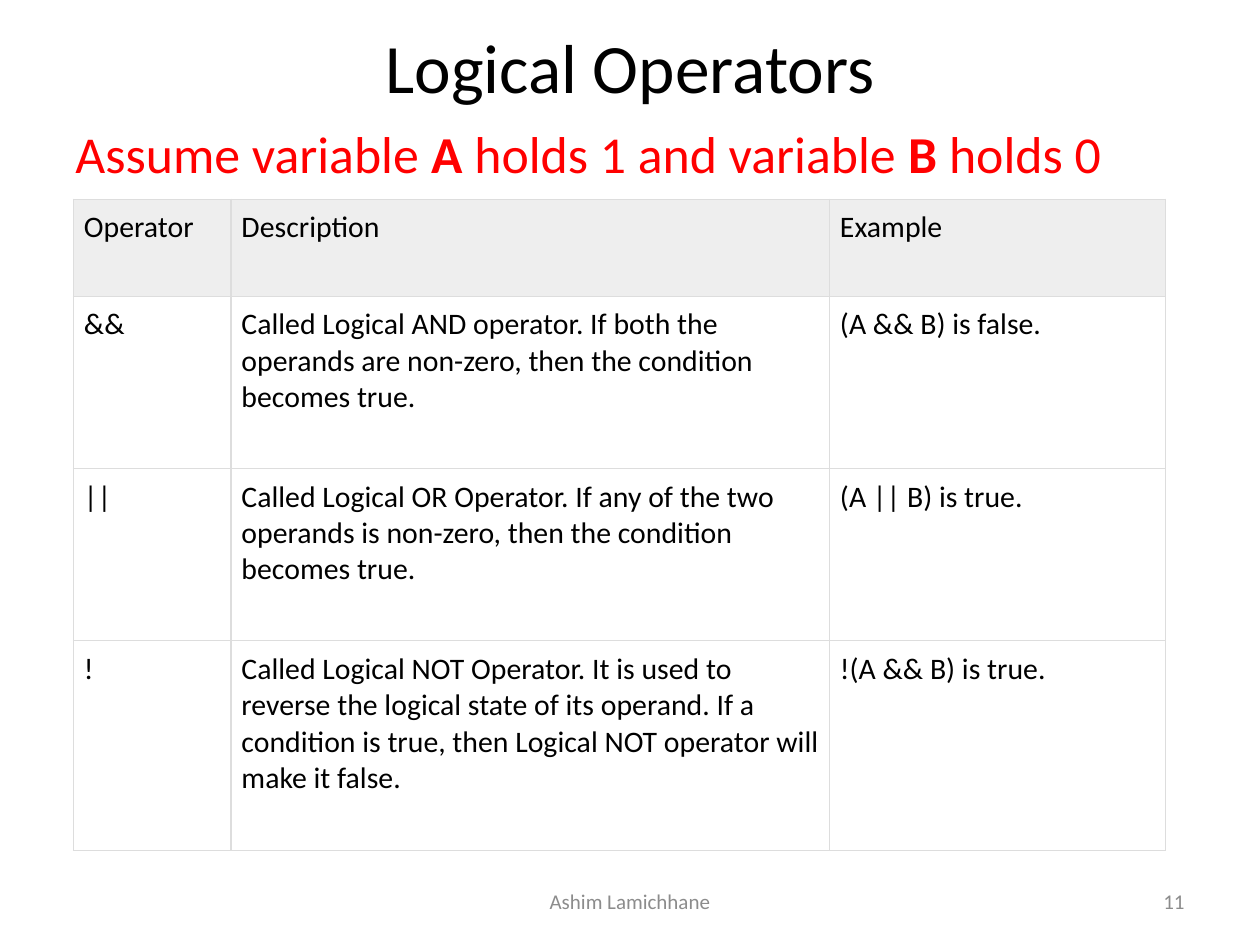
from dataclasses import dataclass

from lxml import etree
from pptx import Presentation
from pptx import util as u
from pptx.dml import color
from pptx.enum import text
from pptx.oxml import ns


@dataclass(frozen=True)
class Theme:
    font: str = "Calibri"
    ink: str = "000000"
    accent: str = "FF0000"
    muted: str = "8C8C8C"
    header: str = "EEEEEE"
    border: str = "DDDDDD"
    title_size: float = 39.6
    lead_size: float = 29.6
    table_size: float = 17
    footer_size: float = 12
    border_width: float = 0.75
    cell_inset: float = 6


class SlideBuilder:
    def __init__(self, slide, theme):
        self.slide = slide
        self.theme = theme

    def place(self, shape, box):
        shape.left, shape.top, shape.width, shape.height = map(u.Pt, box)

    def format_runs(self, paragraph, size, ink):
        for run in paragraph.runs:
            run.font.name = self.theme.font
            run.font.size = u.Pt(size)
            run.font.color.rgb = color.RGBColor.from_string(ink)

    def title(self, words, box):
        shape = self.slide.shapes.title
        self.place(shape, box)
        frame = shape.text_frame
        frame.text = words
        frame.auto_size = text.MSO_AUTO_SIZE.NONE
        frame.vertical_anchor = text.MSO_ANCHOR.MIDDLE
        frame.paragraphs[0].alignment = text.PP_ALIGN.CENTER
        self.format_runs(frame.paragraphs[0], self.theme.title_size, self.theme.ink)

    def text_box(self, pieces, box, size, ink, align, anchor, bold=()):
        frame = self.slide.shapes.add_textbox(*map(u.Pt, box)).text_frame
        frame.word_wrap = True
        frame.vertical_anchor = anchor
        paragraph = frame.paragraphs[0]
        paragraph.alignment = align
        for piece in pieces:
            run = paragraph.add_run()
            run.text = piece
            run.font.bold = piece in bold
        self.format_runs(paragraph, size, ink)

    def cell_borders(self, cell):
        properties = cell._tc.get_or_add_tcPr()
        for position, tag in enumerate(("a:lnL", "a:lnR", "a:lnT", "a:lnB")):
            line = etree.Element(ns.qn(tag), w=str(u.Pt(self.theme.border_width)))
            fill = etree.SubElement(line, ns.qn("a:solidFill"))
            etree.SubElement(fill, ns.qn("a:srgbClr"), val=self.theme.border)
            properties.insert(position, line)

    def table(self, rows, left, top, widths, heights):
        box = (left, top, sum(widths), sum(heights))
        table = self.slide.shapes.add_table(
            len(rows), len(widths), *map(u.Pt, box)).table
        table.horz_banding = False
        for column, width in zip(table.columns, widths):
            column.width = u.Pt(width)
        for index, (row, height) in enumerate(zip(table.rows, heights)):
            row.height = u.Pt(height)
            for cell, words in zip(row.cells, rows[index]):
                self.cell(cell, words, header=index == 0)

    def cell(self, cell, words, header):
        inset = u.Pt(self.theme.cell_inset)
        cell.margin_left = cell.margin_right = inset
        cell.margin_top = cell.margin_bottom = inset
        cell.text = words
        paragraph = cell.text_frame.paragraphs[0]
        self.format_runs(paragraph, self.theme.table_size, self.theme.ink)
        for run in paragraph.runs:
            run.font.bold = False
        if header:
            cell.fill.solid()
            cell.fill.fore_color.rgb = color.RGBColor.from_string(self.theme.header)
        else:
            cell.fill.background()
        self.cell_borders(cell)


OPERATORS = [
    ("Operator", "Description", "Example"),
    ("&&", "Called Logical AND operator. If both the operands are non-zero, "
     "then the condition becomes true.", "(A && B) is false."),
    ("||", "Called Logical OR Operator. If any of the two operands is non-zero, "
     "then the condition becomes true.", "(A || B) is true."),
    ("!", "Called Logical NOT Operator. It is used to reverse the logical state "
     "of its operand. If a condition is true, then Logical NOT operator will "
     "make it false.", "!(A && B) is true."),
]
LEAD = ["Assume variable\u00a0", "A", "\u00a0holds 1 and variable\u00a0", "B",
        "\u00a0holds 0"]

theme = Theme()
presentation = Presentation()
presentation.slide_width, presentation.slide_height = u.Pt(720), u.Pt(540)
slide = presentation.slides.add_slide(presentation.slide_layouts[5])
builder = SlideBuilder(slide, theme)

builder.title("Logical Operators", (36, 21.6, 648, 32.4))
builder.text_box(LEAD, (36, 66, 648, 42), theme.lead_size, theme.accent,
                 text.PP_ALIGN.LEFT, text.MSO_ANCHOR.TOP, bold=("A", "B"))
builder.table(OPERATORS, 42, 113.75, (90, 342, 192), (55.5, 98.4, 98.4, 120))
for words, left, width, align in (
        ("Ashim Lamichhane", 246, 228, text.PP_ALIGN.CENTER),
        ("11", 516, 168, text.PP_ALIGN.RIGHT)):
    builder.text_box([words], (left, 500.5, width, 28.75), theme.footer_size,
                     theme.muted, align, text.MSO_ANCHOR.MIDDLE)

presentation.save("out.pptx")
